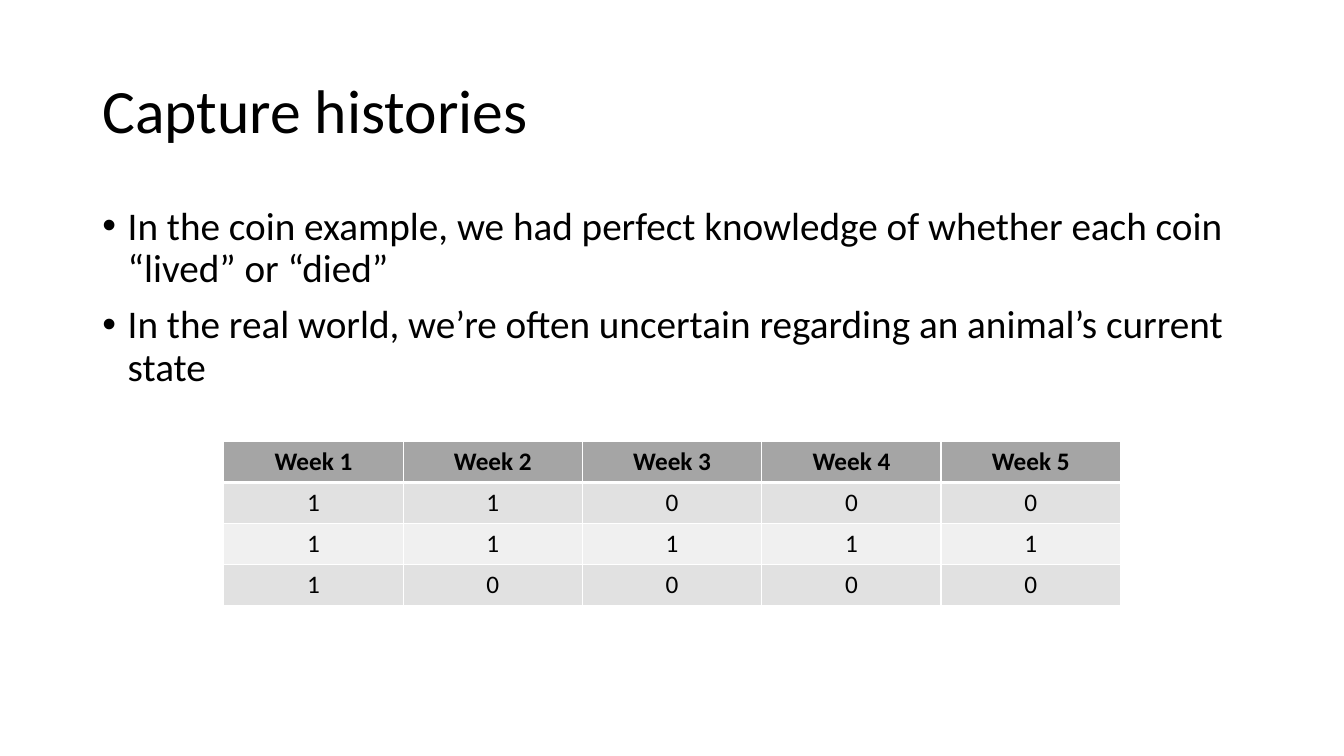
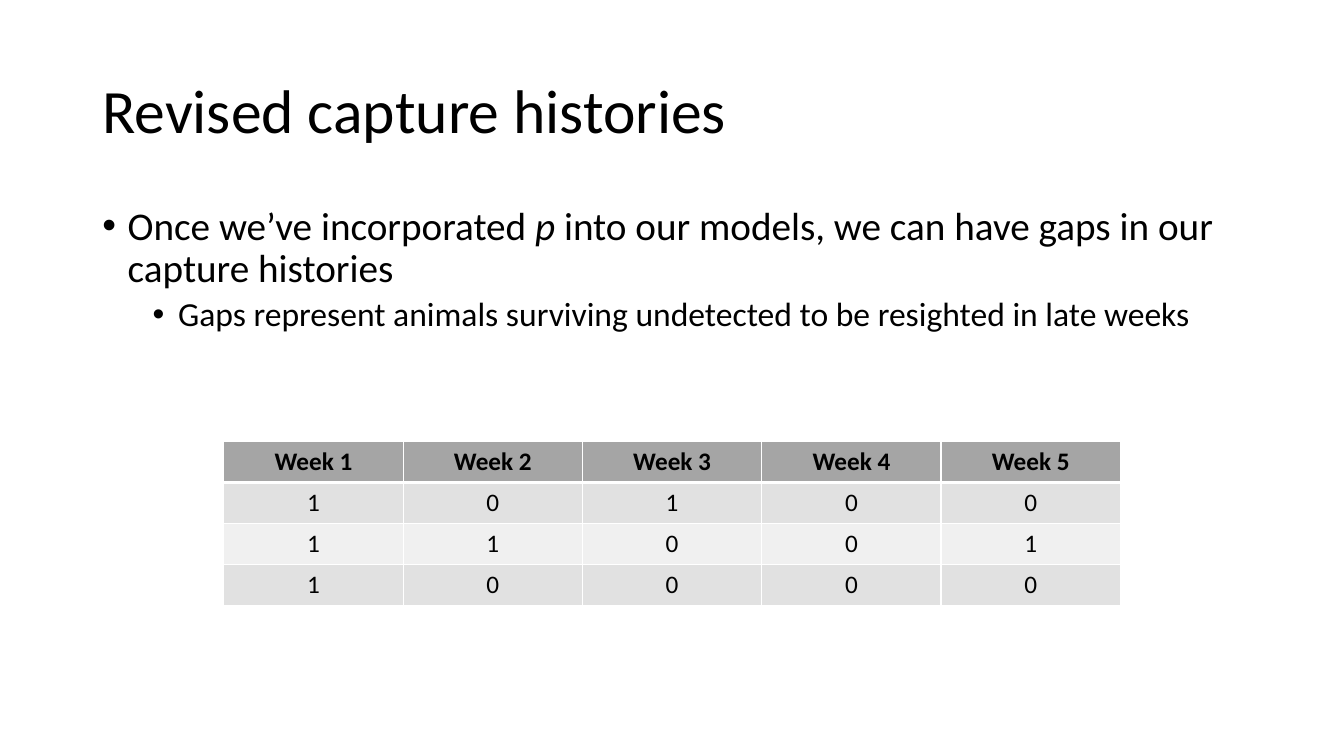
"""Build two slides about capture histories."""
import lxml.etree
import pptx
import pptx.dml.color
import pptx.enum.text
import pptx.oxml.ns
import pptx.util
from pptx.util import Cm, Pt

COLORS = {
    "text": "000000",
    "border": "FFFFFF",
    "header": "A5A5A5",
    "odd": "E1E1E1",
    "even": "F0F0F0",
}
FONT = "Calibri"
LEFT, WIDTH = Cm(2.33), Cm(29.21)
BULLET_LEVELS = [
    {"size": 28, "before": 10, "margin": Cm(0.64)},
    {"size": 24, "before": 5, "margin": Cm(1.91)},
]
HANGING = Cm(0.64)
WEEKS = [f"Week {number}" for number in range(1, 6)]

SLIDES = [
    {
        "title": "Capture histories",
        "bullets": [
            (0, ["In the coin example, we had perfect knowledge of whether each coin “lived” or “died”"]),
            (0, ["In the real world, we’re often uncertain regarding an animal’s current state"]),
        ],
        "histories": ["11000", "11111", "10000"],
    },
    {
        "title": "Revised capture histories",
        "bullets": [
            (0, ["Once we’ve incorporated ", "p", " into our models, we can have gaps in our capture histories"]),
            (1, ["Gaps represent animals surviving undetected to be resighted in late weeks"]),
        ],
        "histories": ["10100", "11001", "10000"],
    },
]


def color(name):
    """Return a named colour."""
    return pptx.dml.color.RGBColor.from_string(COLORS[name])


def add_element(parent, tag, **attributes):
    """Append a drawing element to its parent."""
    return lxml.etree.SubElement(parent, pptx.oxml.ns.qn(tag), attributes)


def style(paragraph, size, bold=False):
    """Set the font of a whole paragraph."""
    font = paragraph.font
    font.name, font.size, font.bold = FONT, Pt(size), bold
    font.color.rgb = color("text")


def add_box(page, top, height):
    """Add a wrapping text box in the content column."""
    frame = page.shapes.add_textbox(LEFT, top, WIDTH, height).text_frame
    frame.word_wrap = True
    return frame


def add_title(page, text):
    """Add the slide title."""
    frame = add_box(page, Cm(1.01), Cm(3.68))
    frame.vertical_anchor = pptx.enum.text.MSO_ANCHOR.MIDDLE
    para = frame.paragraphs[0]
    para.text = text
    para.line_spacing = 0.9
    style(para, 44)


def add_bullets(page, bullets):
    """Add bulleted text; every second span is italic."""
    frame = add_box(page, Cm(5.07), Cm(12.09))
    for index, (level, spans) in enumerate(bullets):
        para = frame.add_paragraph() if index else frame.paragraphs[0]
        look = BULLET_LEVELS[level]
        para.level = level
        para.line_spacing = 0.9
        para.space_before = Pt(look["before"])
        style(para, look["size"])
        properties = para._p.get_or_add_pPr()
        properties.set("marL", str(look["margin"]))
        properties.set("indent", str(-HANGING))
        bullet_font = lxml.etree.Element(pptx.oxml.ns.qn("a:buFont"), typeface="Arial")
        bullet = lxml.etree.Element(pptx.oxml.ns.qn("a:buChar"), char="•")
        defaults = properties.find(pptx.oxml.ns.qn("a:defRPr"))
        defaults.addprevious(bullet_font)
        defaults.addprevious(bullet)
        for position, text in enumerate(spans):
            span = para.add_run()
            span.text = text
            if position % 2:
                span.font.italic = True


def set_borders(cell, top, bottom):
    """Draw the four cell borders with the given top and bottom widths."""
    properties = cell._tc.get_or_add_tcPr()
    widths = {"a:lnL": 1, "a:lnR": 1, "a:lnT": top, "a:lnB": bottom}
    for index, (tag, width) in enumerate(widths.items()):
        line = add_element(properties, tag, w=str(Pt(width)))
        add_element(add_element(line, "a:solidFill"), "a:srgbClr", val=COLORS["border"])
        properties.insert(index, line)


def add_history_table(page, histories):
    """Add the weekly table with one row per animal."""
    rows = [WEEKS, *histories]
    table = page.shapes.add_table(
        len(rows), len(WEEKS), Cm(5.64), Cm(11.13), Cm(4.52) * len(WEEKS), Cm(1.03) * len(rows)
    ).table
    for row_index, values in enumerate(rows):
        is_header = row_index == 0
        fill = "header" if is_header else "odd" if row_index % 2 else "even"
        for column_index, value in enumerate(values):
            cell = table.cell(row_index, column_index)
            cell.fill.solid()
            cell.fill.fore_color.rgb = color(fill)
            set_borders(cell, 3 if row_index == 1 else 1, 3 if is_header else 1)
            para = cell.text_frame.paragraphs[0]
            para.text = value
            para.alignment = pptx.enum.text.PP_ALIGN.CENTER
            style(para, 18, is_header)


def main():
    """Build and save the deck."""
    deck = pptx.Presentation()
    deck.slide_width, deck.slide_height = Cm(33.87), Cm(19.05)
    for content in SLIDES:
        page = deck.slides.add_slide(deck.slide_layouts[6])
        add_title(page, content["title"])
        add_bullets(page, content["bullets"])
        add_history_table(page, content["histories"])
    deck.save("out.pptx")


main()
